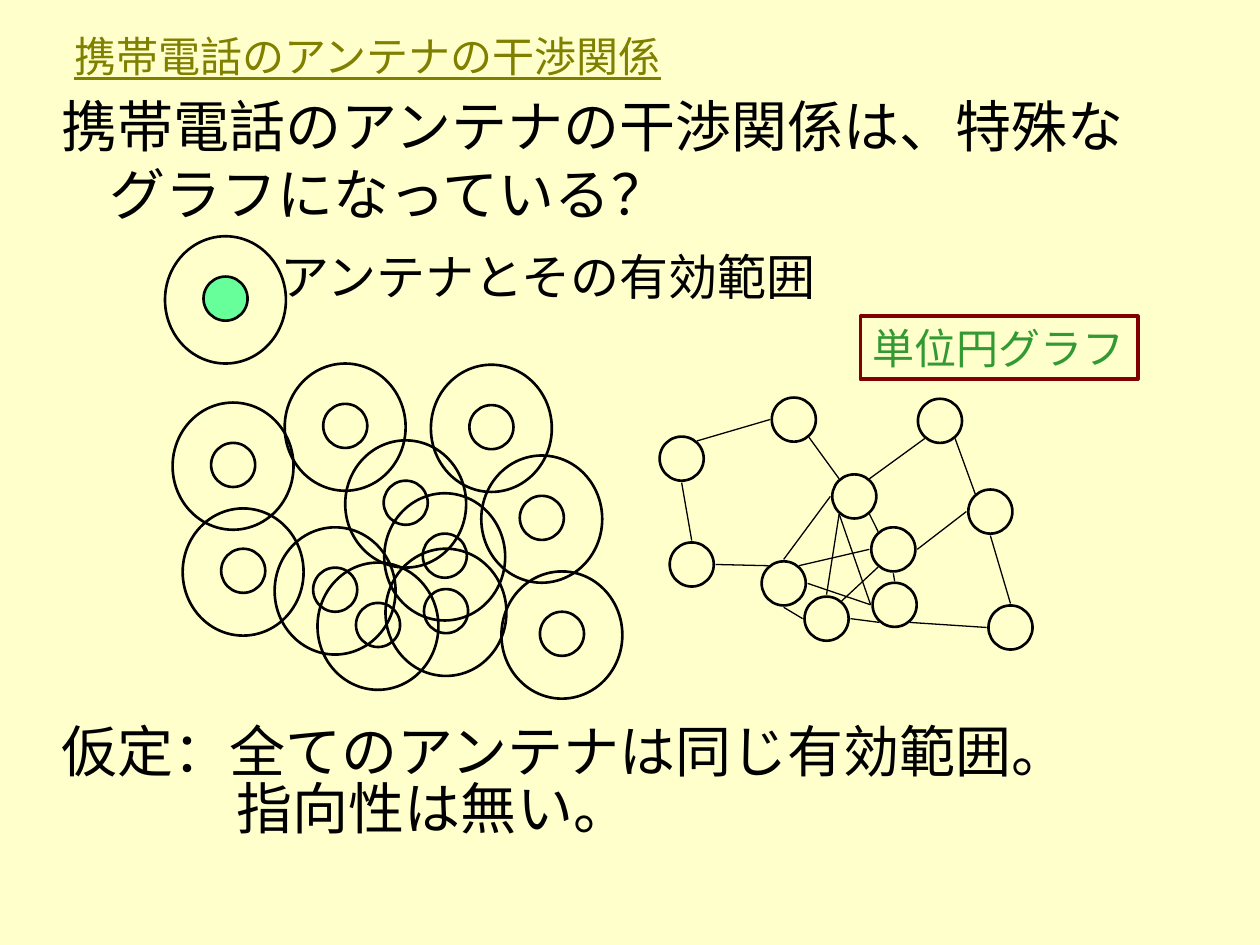
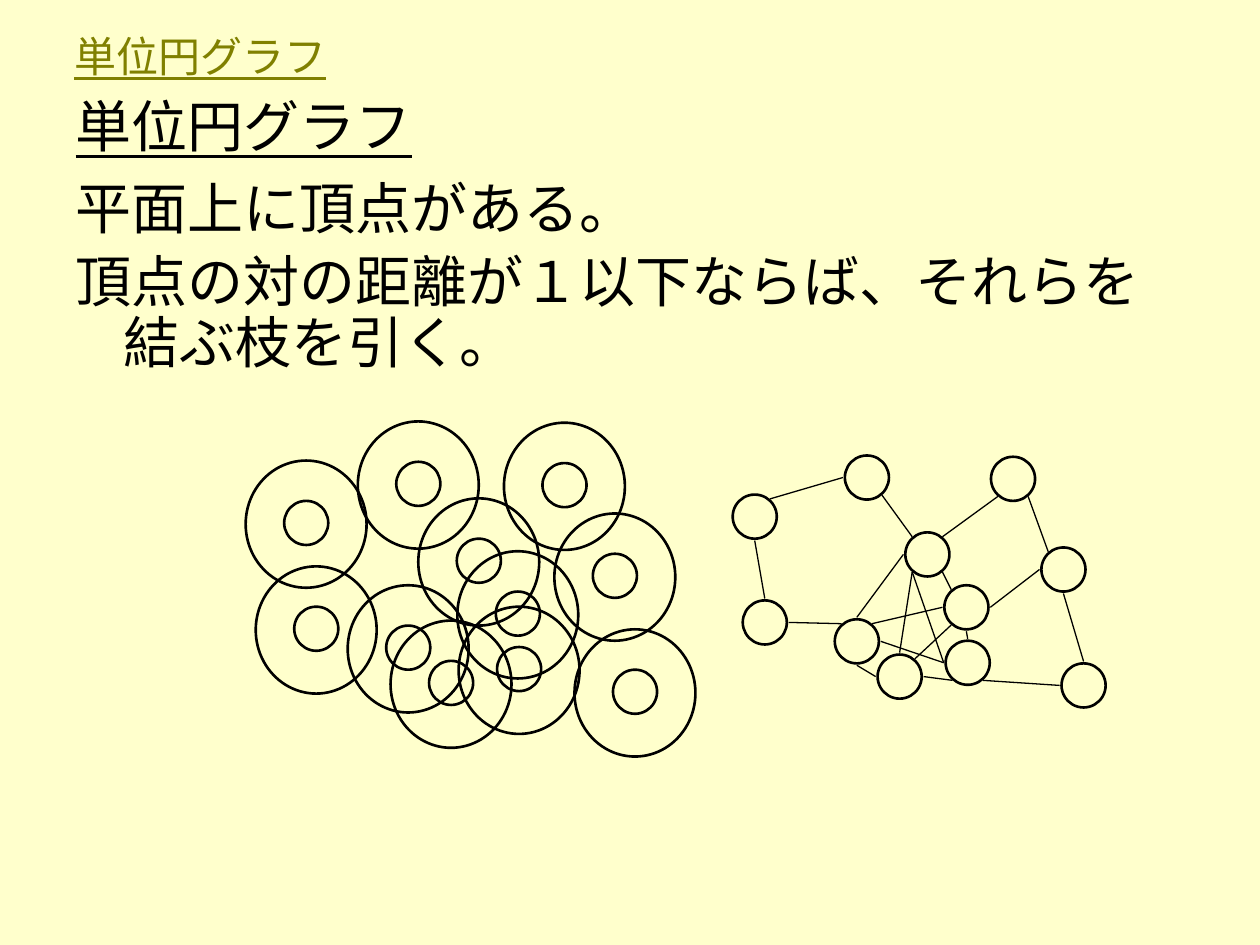
import lxml.etree
import pptx
import pptx.dml.color
import pptx.enum.shapes
import pptx.enum.text
import pptx.oxml.ns
import pptx.util

Inches = pptx.util.Inches
Pt = pptx.util.Pt
RGBColor = pptx.dml.color.RGBColor

CREAM = RGBColor(0xFF, 0xFF, 0xCC)
OLIVE = RGBColor(0x80, 0x80, 0x00)
BLACK = RGBColor(0x00, 0x00, 0x00)
MINT = RGBColor(0x66, 0xFF, 0x99)
MAROON = RGBColor(0x80, 0x00, 0x00)
GREEN = RGBColor(0x33, 0x99, 0x33)
FONT = "Times New Roman"

# Antenna centres, and the graph vertices' shift from them
ANTENNAS = [
    (2.74, 3.38), (1.85, 3.69), (2.66, 4.68), (1.93, 4.53),
    (3.53, 4.41), (3.22, 3.99), (3.54, 4.85), (3.00, 4.96),
    (3.90, 3.39), (4.46, 5.03), (4.30, 4.11),
]
GRAPH_SHIFT = (3.56, -0.05)
ANTENNA_SIZE = 0.35
RANGE_WIDTH, RANGE_HEIGHT = 0.96, 1.01

# Points around a vertex where edges attach, relative to its centre
SITES = {
    "N": (0, -0.19), "S": (0, 0.19), "W": (-0.19, 0), "E": (0.19, 0),
    "NW": (-0.12, -0.14), "NE": (0.12, -0.14),
    "SW": (-0.12, 0.14), "SE": (0.12, 0.14),
}
EDGES = [
    (1, "S", 3, "N"), (1, "NE", 0, "W"), (0, "SE", 5, "NW"),
    (5, "W", 2, "N"), (3, "E", 2, "NW"), (5, "SE", 4, "NW"),
    (4, "W", 2, "NE"), (2, "S", 7, "W"), (7, "NE", 4, "SW"),
    (5, "SW", 7, "N"), (4, "S", 6, "N"), (7, "E", 6, "SW"),
    (2, "E", 6, "W"), (5, "SW", 6, "W"), (5, "NE", 8, "SW"),
    (8, "SE", 10, "NW"), (10, "S", 9, "N"), (9, "W", 6, "SE"),
    (4, "E", 10, "W"),
]


def shifted(point, shift):
    return point[0] + shift[0], point[1] + shift[1]


class Deck:
    """Holds the shared style and the slide being filled."""

    def __init__(self):
        self.presentation = pptx.Presentation()
        self.presentation.slide_width = Inches(10)
        self.presentation.slide_height = Inches(7.5)
        fill = self.presentation.slide_master.background.fill
        fill.solid()
        fill.fore_color.rgb = CREAM
        self.slide = None

    def place(self, shape, left, top, width, height):
        shape.left, shape.top = Inches(left), Inches(top)
        shape.width, shape.height = Inches(width), Inches(height)

    def add_run(self, paragraph, text, size, color=BLACK, underline=False):
        run = paragraph.add_run()
        run.text = text
        run.font.name = FONT
        run.font.size = Pt(size)
        run.font.color.rgb = color
        run.font.underline = underline

    def add_slide(self, title):
        layout = self.presentation.slide_layouts[1]
        self.slide = self.presentation.slides.add_slide(layout)
        shape = self.slide.shapes.title
        self.place(shape, 0.49, 0.18, 8.78, 0.52)
        frame = shape.text_frame
        frame.auto_size = pptx.enum.text.MSO_AUTO_SIZE.NONE
        frame.vertical_anchor = pptx.enum.text.MSO_ANCHOR.MIDDLE
        paragraph = frame.paragraphs[0]
        paragraph.alignment = pptx.enum.text.PP_ALIGN.LEFT
        self.add_run(paragraph, title, 24, OLIVE, underline=True)

    def add_body(self, left, height):
        shape = self.slide.placeholders[1]
        self.place(shape, left, 0.68, 9.08, height)
        shape.text_frame.auto_size = pptx.enum.text.MSO_AUTO_SIZE.NONE
        return shape.text_frame

    def add_item(self, frame, text, before=8, spacing=1.0, level=0,
                 margin=0.38, indent=-0.38, underline=False):
        first = not frame.paragraphs[0].runs
        paragraph = frame.paragraphs[0] if first else frame.add_paragraph()
        properties = paragraph._p.get_or_add_pPr()
        properties.set("marL", str(Inches(margin)))
        properties.set("indent", str(Inches(indent)))
        lxml.etree.SubElement(properties, pptx.oxml.ns.qn("a:buNone"))
        paragraph.level = level
        paragraph.line_spacing = spacing
        paragraph.space_before = Pt(0 if first else before)
        self.add_run(paragraph, text, 32, underline=underline)

    def add_label(self, text, left, top, width, height, size,
                  color=BLACK, border=None):
        shape = self.slide.shapes.add_textbox(
            Inches(left), Inches(top), Inches(width), Inches(height))
        if border is not None:
            shape.line.color.rgb = border
            shape.line.width = Pt(2.25)
        shape.text_frame.word_wrap = False
        self.add_run(shape.text_frame.paragraphs[0], text, size, color)

    def add_group(self):
        return self.slide.shapes.add_group_shape()

    def add_ellipse(self, group, center, width, height, fill=None):
        shape = group.shapes.add_shape(
            pptx.enum.shapes.MSO_SHAPE.OVAL,
            Inches(center[0] - width / 2), Inches(center[1] - height / 2),
            Inches(width), Inches(height))
        shape.shadow.inherit = False
        if fill is None:
            shape.fill.background()
        else:
            shape.fill.solid()
            shape.fill.fore_color.rgb = fill
        shape.line.color.rgb = BLACK
        shape.line.width = Pt(1.5)

    def add_antenna(self, group, center, fill=None):
        self.add_ellipse(group, center, ANTENNA_SIZE, ANTENNA_SIZE, fill)
        self.add_ellipse(group, shifted(center, (0, 0.01)),
                         RANGE_WIDTH, RANGE_HEIGHT)

    def add_edge(self, group, start, end):
        line = group.shapes.add_connector(
            pptx.enum.shapes.MSO_CONNECTOR.STRAIGHT,
            Inches(start[0]), Inches(start[1]), Inches(end[0]), Inches(end[1]))
        line.line.color.rgb = BLACK
        line.line.width = Pt(0.75)
        lxml.etree.SubElement(line._element.spPr,
                              pptx.oxml.ns.qn("a:effectLst"))

    def add_interference_diagram(self, shift=(0, 0)):
        group = self.add_group()
        centers = [shifted(antenna, shift) for antenna in ANTENNAS]
        vertices = [shifted(center, GRAPH_SHIFT) for center in centers]
        for center in centers:
            self.add_antenna(group, center)
        for vertex in vertices:
            self.add_ellipse(group, vertex, ANTENNA_SIZE, ANTENNA_SIZE)
        for start, start_site, end, end_site in EDGES:
            self.add_edge(group, shifted(vertices[start], SITES[start_site]),
                          shifted(vertices[end], SITES[end_site]))


def main():
    deck = Deck()

    # Slide 1: interference between antennas
    deck.add_slide("携帯電話のアンテナの干渉関係")
    body = deck.add_body(0.39, 6.1)
    deck.add_item(body, "携帯電話のアンテナの干渉関係は、特殊なグラフになっている？")
    deck.add_item(body, "仮定：全てのアンテナは同じ有効範囲。", before=280)
    deck.add_item(body, "指向性は無い。", spacing=0.6, level=1,
                  margin=1.39, indent=0)
    deck.add_interference_diagram()
    deck.add_antenna(deck.add_group(), (1.79, 2.37), MINT)
    deck.add_label("アンテナとその有効範囲", 2.13, 1.91, 4.47, 0.57, 28)
    deck.add_label("単位円グラフ", 6.83, 2.51, 2.2, 0.5, 24, GREEN, MAROON)

    # Slide 2: definition of the unit disk graph
    deck.add_slide("単位円グラフ")
    body = deck.add_body(0.5, 5.69)
    deck.add_item(body, "単位円グラフ", underline=True)
    deck.add_item(body, "平面上に頂点がある。")
    deck.add_item(body, "頂点の対の距離が１以下ならば、それらを結ぶ枝を引く。",
                  spacing=0.9)
    deck.add_interference_diagram(shift=(0.58, 0.46))

    deck.presentation.save("out.pptx")


if __name__ == "__main__":
    main()
